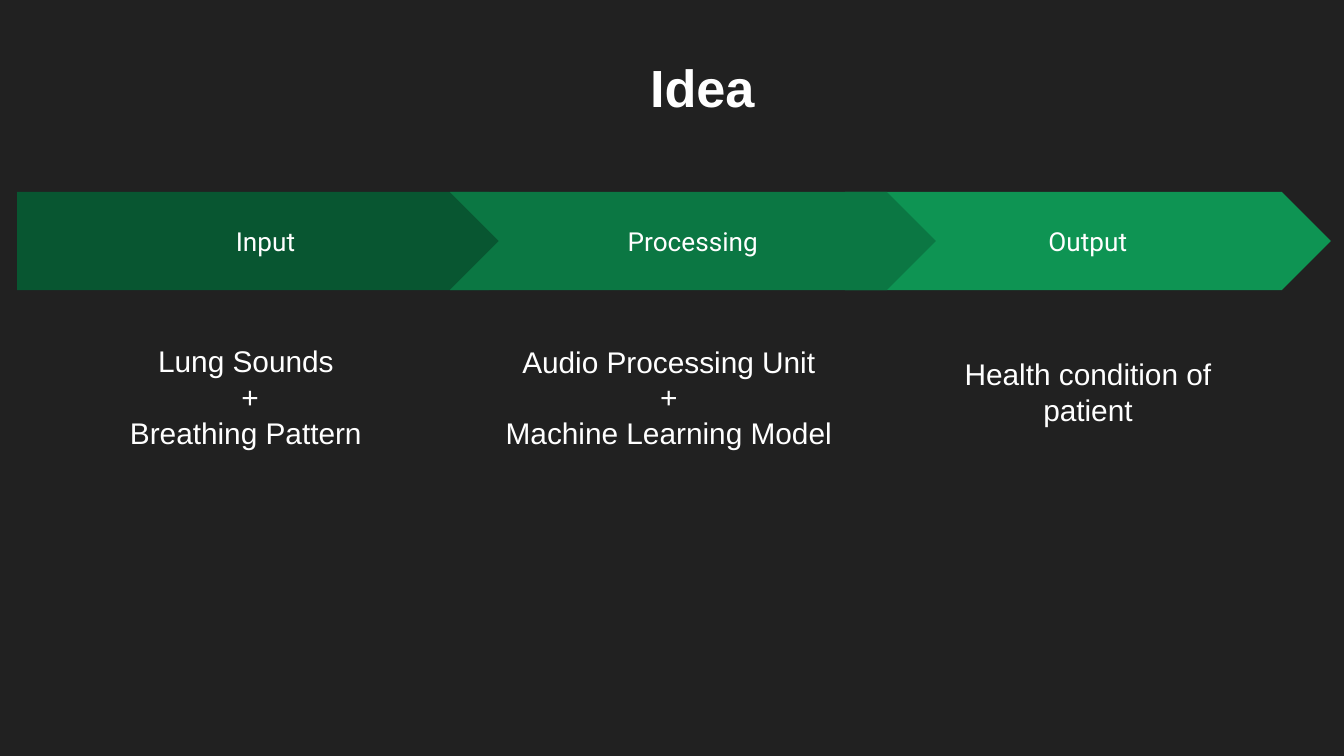
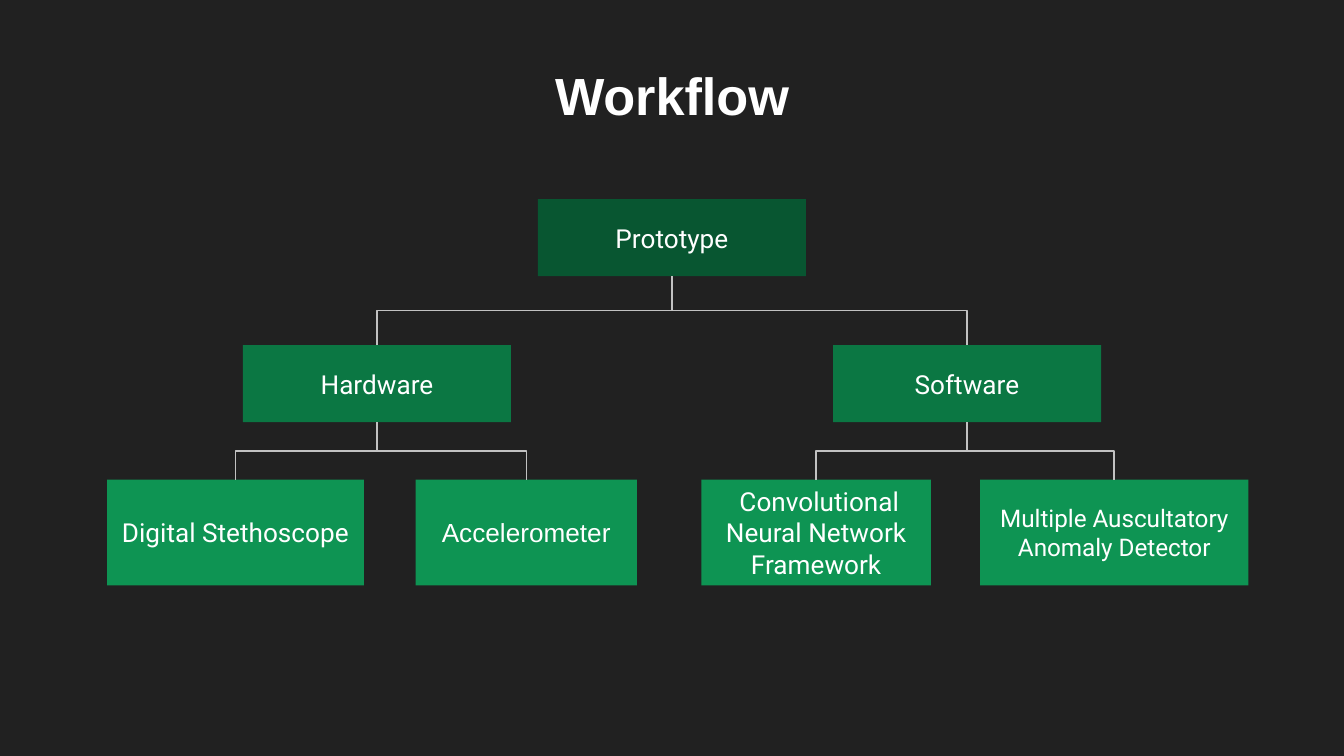
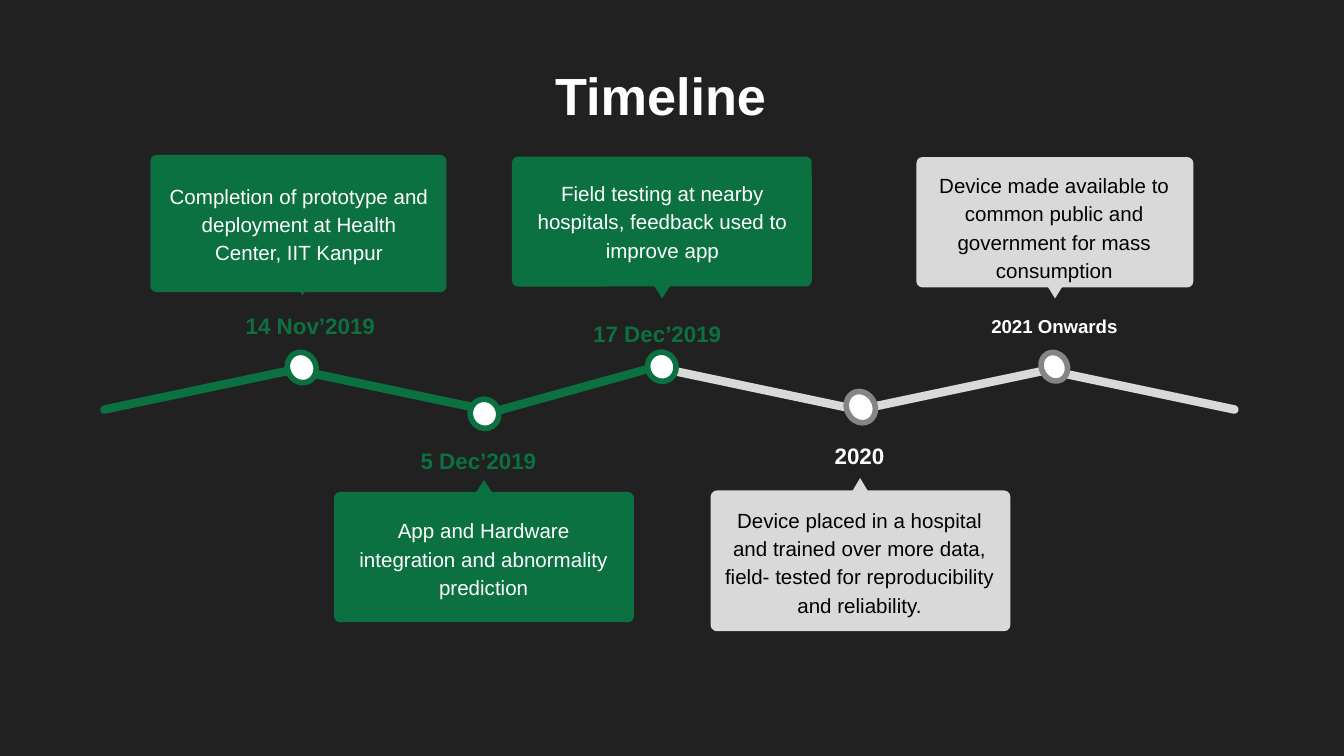
from dataclasses import dataclass

from lxml.etree import SubElement
from pptx import Presentation
from pptx.dml.color import RGBColor
from pptx.enum.shapes import MSO_CONNECTOR, MSO_SHAPE
from pptx.enum.text import MSO_ANCHOR, MSO_AUTO_SIZE, PP_ALIGN
from pptx.oxml.ns import qn
from pptx.util import Pt


@dataclass(frozen=True)
class Theme:
    background: str = "212121"
    white: str = "FFFFFF"
    black: str = "000000"
    dark_green: str = "085631"
    middle_green: str = "0B7743"
    light_green: str = "0E9453"
    done: str = "0B7140"
    planned: str = "D9D9D9"
    planned_ring: str = "858585"
    connector: str = "C2C2C2"
    body_font: str = "Arial"
    diagram_font: str = "Roboto"
    title_size: float = 28
    body_size: float = 16
    diagram_size: float = 14
    small_diagram_size: float = 13
    date_size: float = 12
    note_size: float = 11
    small_date_size: float = 10
    inset: float = 7.2


THEME = Theme()


def color(value):
    return RGBColor.from_string(value)


def write_text(frame, text, size=THEME.body_size, font=THEME.body_font, ink=THEME.white,
               bold=False, anchor=MSO_ANCHOR.TOP, spacing=None, after=None):
    frame.word_wrap = True
    frame.auto_size = MSO_AUTO_SIZE.NONE
    frame.vertical_anchor = anchor
    frame.margin_left = frame.margin_right = Pt(THEME.inset)
    frame.margin_top = frame.margin_bottom = Pt(THEME.inset)
    for index, line in enumerate(text.split("\n")):
        para = frame.add_paragraph() if index else frame.paragraphs[0]
        para.alignment = PP_ALIGN.CENTER
        para.line_spacing = spacing
        para.space_after = None if after is None else Pt(after)
        span = para.add_run()
        span.text = line
        span.font.size = Pt(size)
        span.font.name = font
        span.font.bold = bold
        span.font.color.rgb = color(ink)


class SlideBuilder:
    def __init__(self, theme):
        self.theme = theme
        self.deck = Presentation()
        self.deck.slide_width = Pt(720)
        self.deck.slide_height = Pt(405)
        fill = self.deck.slide_master.background.fill
        fill.solid()
        fill.fore_color.rgb = color(theme.background)
        self.page = None

    def start(self, title, left, top, anchor=MSO_ANCHOR.TOP):
        self.page = self.deck.slides.add_slide(self.deck.slide_layouts[5])
        box = self.page.shapes.title
        box.left, box.top, box.width, box.height = Pt(left), Pt(top), Pt(247), Pt(41)
        write_text(box.text_frame, title, size=self.theme.title_size, bold=True, anchor=anchor)

    def text(self, text, bounds, **style):
        box = self.page.shapes.add_textbox(*map(Pt, bounds))
        write_text(box.text_frame, text, **style)

    def shape(self, kind, bounds, fill, adjust=None, rotation=0, ring=None):
        box = self.page.shapes.add_shape(kind, *map(Pt, bounds))
        box.shadow.inherit = False
        box.rotation = rotation
        if adjust is not None:
            box.adjustments[0] = adjust
        box.fill.solid()
        box.fill.fore_color.rgb = color(fill)
        if ring:
            box.line.color.rgb = color(ring)
            box.line.width = Pt(3)
        else:
            box.line.fill.background()
        return box

    def node(self, text, bounds, fill, kind=MSO_SHAPE.RECTANGLE, adjust=None,
             size=THEME.diagram_size, font=THEME.diagram_font):
        box = self.shape(kind, bounds, fill, adjust)
        write_text(box.text_frame, text, size=size, font=font, anchor=MSO_ANCHOR.MIDDLE)
        return box

    def branch(self, parent, child):
        parent_x = parent.left + parent.width // 2
        child_x = child.left + child.width // 2
        parent_y, child_y = parent.top + parent.height, child.top
        to_right = child_x > parent_x
        line = self.page.shapes.add_connector(
            MSO_CONNECTOR.ELBOW, parent_x, parent_y, child_x, child_y)
        if to_right:
            line.begin_connect(parent, 2)
            line.end_connect(child, 0)
        else:
            line.begin_connect(child, 0)
            line.end_connect(parent, 2)
        width, height = child_y - parent_y, abs(child_x - parent_x)
        line.left = (parent_x + child_x - width) // 2
        line.top = (parent_y + child_y - height) // 2
        line.width, line.height = width, height
        properties = line.element.spPr
        frame = properties.find(qn("a:xfrm"))
        frame.set("rot", str(270 * 60000))
        frame.set("flipH", str(int(to_right)))
        frame.set("flipV", "0")
        line.line.color.rgb = color(self.theme.connector)
        line.line.width = Pt(0.75)
        SubElement(properties, qn("a:effectLst"))

    def segment(self, left, top, width, rotation, fill, adjust=0.5):
        self.shape(MSO_SHAPE.ROUNDED_RECTANGLE, (left, top, width, 4.6), fill, adjust, rotation)

    def milestone(self, date, note, date_box, bubble, note_box, pointer, marker,
                  done=True, above=True, date_size=THEME.date_size):
        theme = self.theme
        fill = theme.done if done else theme.planned
        spacing = {"spacing": 1.15, "after": 16}
        self.shape(MSO_SHAPE.ROUNDED_RECTANGLE, bubble, fill, 0.045)
        self.shape(MSO_SHAPE.ISOSCELES_TRIANGLE, pointer, fill, 0.5, 180 if above else 0)
        self.text(note, note_box, size=theme.note_size,
                  ink=theme.white if done else theme.black, **spacing)
        self.text(date, date_box, size=date_size, bold=True,
                  ink=theme.done if done else theme.white, **spacing)
        self.shape(MSO_SHAPE.OVAL, marker, theme.white, rotation=330.2,
                   ring=theme.done if done else theme.planned_ring)


def build_idea(builder):
    theme = builder.theme
    builder.start("Idea", 252.7, 26, MSO_ANCHOR.MIDDLE)
    builder.text("Lung Sounds\n +\nBreathing Pattern", (54, 176.4, 155.5, 81.4))
    builder.text("Health condition of patient", (506.9, 183.4, 152, 57.6))
    builder.text("Audio Processing Unit\n+\nMachine Learning Model",
                 (257.5, 172, 201.6, 81.4), anchor=MSO_ANCHOR.MIDDLE)
    for text, left, width, kind, fill in (
        ("Output", 452.6, 260.4, MSO_SHAPE.CHEVRON, theme.light_green),
        ("Input", 9.2, 279.2, MSO_SHAPE.PENTAGON, theme.dark_green),
        ("Processing", 241, 260.4, MSO_SHAPE.CHEVRON, theme.middle_green),
    ):
        builder.node(text, (left, 102.8, width, 52.6), fill, kind, 0.5)


def build_workflow(builder):
    theme = builder.theme
    builder.start("Workflow", 236.5, 26.6)
    root = builder.node("Prototype", (288.2, 106.7, 143.6, 41.3), theme.dark_green)
    branches = (
        ("Hardware", 130.2, (
            ("Digital Stethoscope", 57.4, 137.5, {}),
            ("Accelerometer", 222.7, 118.5, {"font": theme.body_font}),
        )),
        ("Software", 446.3, (
            (" Convolutional Neural Network Framework", 375.7, 123, {}),
            ("Multiple Auscultatory Anomaly Detector", 525, 143.8,
             {"size": theme.small_diagram_size}),
        )),
    )
    for name, left, parts in branches:
        branch = builder.node(name, (left, 184.9, 143.6, 41.3), theme.middle_green)
        builder.branch(root, branch)
        for text, part_left, width, style in parts:
            part = builder.node(text, (part_left, 257, width, 56.6), theme.light_green, **style)
            builder.branch(branch, part)


def build_timeline(builder):
    theme = builder.theme
    builder.start("Timeline", 230.4, 26.6)
    for left, top, width, rotation, fill in (
        (52.6, 206.6, 106.6, 348.1, theme.done),
        (558, 206.6, 106.6, 11.9, theme.planned),
        (457.2, 206.6, 106.6, 348.1, theme.planned),
        (355.7, 206.6, 106.6, 11.9, theme.planned),
        (264.2, 206.6, 85, 344.5, theme.done),
    ):
        builder.segment(left, top, width, rotation, fill)
    builder.segment(168.5, 208, 95, 11.9, theme.done, adjust=0)
    builder.milestone(
        "2021 Onwards",
        "Device made available to common public and government for mass consumption",
        date_box=(521.3, 159.8, 87.1, 27.4), bubble=(491, 84.2, 148.3, 69.8),
        note_box=(494.6, 83.5, 140.4, 69.8), pointer=(561.2, 153.4, 8, 6.5),
        marker=(558, 188.6, 13.7, 15.8), done=False, date_size=theme.small_date_size)
    builder.milestone(
        "2020",
        "Device placed in a hospital and trained over more data, "
        "field- tested for reproducibility and reliability.",
        date_box=(427.7, 227.5, 65.5, 29.5), bubble=(380.7, 262.8, 160.6, 75.4),
        note_box=(380.2, 262.8, 160.6, 67), pointer=(456.5, 256.1, 8.6, 7.2),
        marker=(453.6, 209.5, 15.1, 17.3), done=False, above=False)
    builder.milestone(
        "14 Nov’2019",
        "Completion of prototype and deployment at Health Center, IIT Kanpur",
        date_box=(114.5, 157.7, 103.7, 38.2), bubble=(80.6, 83, 158.6, 73.6),
        note_box=(82.8, 89.3, 154.8, 67), pointer=(157.7, 151.2, 8.6, 7),
        marker=(154.1, 188.6, 15.1, 16.6))
    builder.milestone(
        "17 Dec’2019",
        "Field testing at nearby hospitals, feedback used to improve app",
        date_box=(306, 162, 92.2, 36), bubble=(274.3, 83.9, 160.6, 69.6),
        note_box=(278.6, 87.8, 152.6, 62), pointer=(350.4, 153.2, 8.6, 6.6),
        marker=(347, 188.6, 15.1, 15.8))
    builder.milestone(
        "5 Dec’2019",
        "App and Hardware integration and abnormality prediction",
        date_box=(211.7, 230.4, 89.3, 27.4), bubble=(179, 263.6, 160.6, 69.8),
        note_box=(185, 268.6, 148.3, 59.8), pointer=(255, 257.2, 8.6, 6.6),
        marker=(252, 213.8, 15.1, 15.8), above=False)


def main():
    builder = SlideBuilder(THEME)
    build_idea(builder)
    build_workflow(builder)
    build_timeline(builder)
    builder.deck.save("out.pptx")


if __name__ == "__main__":
    main()
